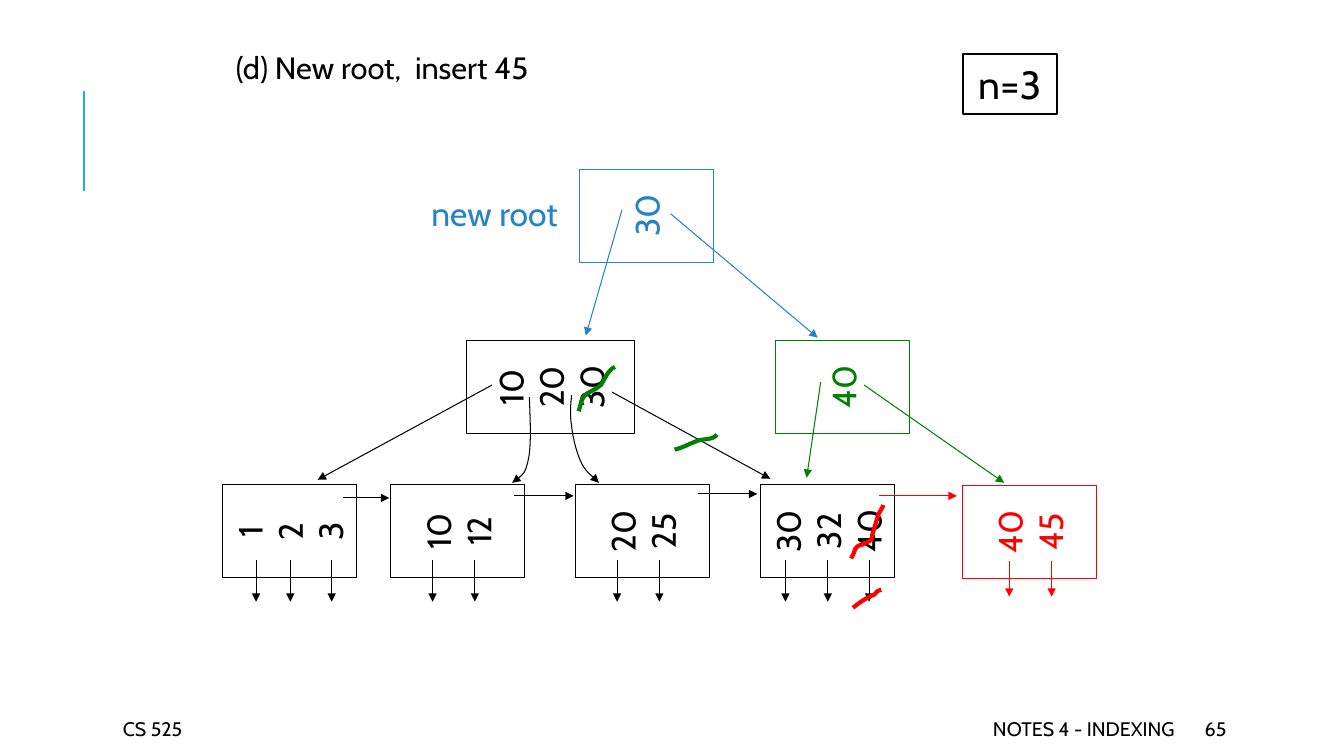
from dataclasses import dataclass

from lxml.etree import SubElement
from pptx import Presentation
from pptx.dml.color import RGBColor
from pptx.enum.shapes import MSO_CONNECTOR as Connector, MSO_SHAPE as Preset
from pptx.enum.text import MSO_ANCHOR as Anchor, MSO_AUTO_SIZE as AutoSize, PP_ALIGN as Align
from pptx.oxml.ns import qn
from pptx.util import Cm, Pt


@dataclass(frozen=True)
class Theme:
    font: str = "Cabin"
    black: str = "000000"
    white: str = "FFFFFF"
    red: str = "FF0000"
    green: str = "008000"
    blue: str = "2683C6"
    accent: str = "1CADE4"
    title_size: int = 22
    footer_size: int = 14
    badge_size: int = 28
    key_size: int = 24
    thin: float = 0.75
    medium: float = 1.5
    thick: float = 3


THEME = Theme()
CM_PER_INCH = 2.54
NODE_HEIGHT = 0.92
NODE_WIDTH = 1.33


def length(inches):
    return Cm(inches * CM_PER_INCH)


def box(left, top, width, height):
    return [length(value) for value in (left, top, width, height)]


def write(shape, text, size, color=THEME.black, align=Align.LEFT,
          anchor=Anchor.MIDDLE, wrap=True):
    frame = shape.text_frame
    frame.auto_size = AutoSize.NONE
    frame.word_wrap = wrap
    frame.vertical_anchor = anchor
    frame.text = text
    for paragraph in frame.paragraphs:
        paragraph.alignment = align
        font = paragraph.font
        font.name = THEME.font
        font.size = Pt(size)
        font.color.rgb = RGBColor.from_string(color)
    return frame


def style_line(shape, color, width, arrow=False):
    shape.line.color.rgb = RGBColor.from_string(color)
    shape.line.width = Pt(width)
    if arrow:
        outline = shape._element.spPr.find(qn("a:ln"))
        SubElement(outline, qn("a:tailEnd"), type="triangle")


def add_line(slide, start, end, color=THEME.black, width=THEME.thin, arrow=True):
    points = [length(value) for value in (*start, *end)]
    connector = slide.shapes.add_connector(Connector.STRAIGHT, *points)
    style_line(connector, color, width, arrow)
    SubElement(connector._element.spPr, qn("a:effectLst"))


def add_rectangle(slide, place, color, width):
    shape = slide.shapes.add_shape(Preset.RECTANGLE, *box(*place))
    shape.shadow.inherit = False
    shape.fill.solid()
    shape.fill.fore_color.rgb = RGBColor.from_string(THEME.white)
    style_line(shape, color, width)
    return shape


def add_node(slide, center, keys, color=THEME.black, width=NODE_WIDTH):
    x, y = center
    place = (x - NODE_HEIGHT / 2, y - width / 2, NODE_HEIGHT, width)
    shape = add_rectangle(slide, place, color, THEME.thin)
    shape.rotation = 270
    write(shape, "\n".join(keys), THEME.key_size, color, Align.CENTER, wrap=False)


def add_pointers(slide, positions, top, bottom, color=THEME.black):
    for x in positions:
        add_line(slide, (x, top), (x, bottom), color)


def bend_segments(shape):
    outline = next(shape._element.iter(qn("a:path")))
    segments = outline.findall(qn("a:lnTo"))
    for first in range(0, len(segments), 3):
        curve = SubElement(outline, qn("a:cubicBezTo"))
        for segment in segments[first:first + 3]:
            curve.append(segment[0])
            outline.remove(segment)


def add_curve(slide, points, color=THEME.black, width=THEME.thin, arrow=False):
    start, *controls = [(length(x), length(y)) for x, y in points]
    builder = slide.shapes.build_freeform(*start)
    builder.add_line_segments(controls, close=False)
    shape = builder.convert_to_shape()
    bend_segments(shape)
    shape.shadow.inherit = False
    shape.fill.background()
    style_line(shape, color, width, arrow)


def add_label(slide, place, text, size, **style):
    write(slide.shapes.add_textbox(*box(*place)), text, size, **style)


def add_title(slide, text):
    title = slide.shapes.title
    title.left, title.top, title.width, title.height = box(2.29, 0.47, 5.31, 0.72)
    frame = write(title, text, THEME.title_size, anchor=Anchor.TOP)
    frame.margin_left = frame.margin_right = length(0.05)
    frame.margin_top = frame.margin_bottom = length(0.05)
    frame.paragraphs[0].line_spacing = 0.9


def add_frame(slide):
    add_line(slide, (0.83, 1.9), (0.83, 0.9), THEME.accent, THEME.medium, arrow=False)
    add_label(slide, (1.12, 7.08, 2.36, 0.3), "CS 525", THEME.footer_size)
    add_label(slide, (5.3, 7.08, 6.45, 0.3), "NOTES 4 - INDEXING",
              THEME.footer_size, align=Align.RIGHT)
    add_label(slide, (11.85, 7.08, 1.06, 0.3), "65", THEME.footer_size)
    badge = add_rectangle(slide, (9.55, 0.54, 0.93, 0.59), THEME.black, THEME.medium)
    write(badge, "n=3", THEME.badge_size, align=Align.CENTER, wrap=False)


def add_old_tree(slide):
    add_node(slide, (5.46, 3.84), ("10", "20", "30"), width=1.67)
    leaves = [
        (2.87, ("1", "2", "3"), (2.54, 2.88, 3.29)),
        (4.54, ("10", "12"), (4.29, 4.71)),
        (6.37, ("20", "25"), (6.12, 6.54)),
        (8.21, ("30", "32", "40"), (7.79, 8.21, 8.62)),
    ]
    for x, keys, pointers in leaves:
        add_node(slide, (x, 5.27), keys)
        add_pointers(slide, pointers, 5.56, 5.97)
    add_line(slide, (4.88, 3.82), (3.15, 4.76))
    add_line(slide, (6.07, 3.89), (7.64, 4.75))
    add_curve(slide, [(5.25, 3.94), (5.26, 4.18), (5.27, 4.42), (5.24, 4.56),
                      (5.21, 4.7), (5.15, 4.74), (5.08, 4.79)], arrow=True)
    add_curve(slide, [(5.67, 3.92), (5.66, 4.01), (5.65, 4.11), (5.67, 4.23),
                      (5.68, 4.34), (5.72, 4.5), (5.77, 4.6),
                      (5.82, 4.69), (5.92, 4.76), (5.94, 4.79)], arrow=True)
    for start, end, y in ((3.4, 3.86, 4.94), (5.1, 5.69, 4.92), (6.92, 7.51, 4.9)):
        add_line(slide, (start, y), (end, y))


def add_new_leaf(slide):
    add_node(slide, (10.21, 5.28), ("40", "45"), THEME.red)
    add_line(slide, (8.72, 4.92), (9.49, 4.92), THEME.red)
    add_pointers(slide, (10.01, 10.43), 5.57, 5.92, THEME.red)
    key_strike = [(8.44, 5.54), (8.5, 5.45), (8.45, 5.43), (8.56, 5.4),
                  (8.57, 5.39), (8.58, 5.38), (8.6, 5.38),
                  (8.61, 5.37), (8.63, 5.37), (8.64, 5.36),
                  (8.65, 5.35), (8.65, 5.32), (8.65, 5.31),
                  (8.67, 5.24), (8.69, 5.18), (8.71, 5.11),
                  (8.72, 5.08), (8.76, 5.03), (8.76, 5.01)]
    pointer_strike = [(8.46, 6.03), (8.52, 5.98), (8.59, 5.93), (8.67, 5.9),
                      (8.72, 5.85), (8.69, 5.87), (8.74, 5.85)]
    for strike in (key_strike, pointer_strike):
        add_curve(slide, strike, THEME.red, THEME.thick)


def add_new_inner_node(slide):
    add_node(slide, (8.36, 3.84), ("40",), THEME.green)
    add_line(slide, (8.14, 3.79), (8, 4.74), THEME.green)
    add_line(slide, (8.57, 3.82), (9.96, 4.79), THEME.green)
    key_strike = [(5.74, 4.08), (5.77, 3.99), (5.75, 3.96), (5.83, 3.9),
                  (5.86, 3.88), (5.89, 3.87), (5.92, 3.85),
                  (5.93, 3.84), (5.96, 3.82), (5.96, 3.82),
                  (6, 3.76), (6.03, 3.67), (6.1, 3.64)]
    pointer_strike = [(6.69, 4.46), (6.78, 4.44), (6.82, 4.41), (6.9, 4.38),
                      (6.95, 4.35), (7.08, 4.37), (7.11, 4.31)]
    for strike in (key_strike, pointer_strike):
        add_curve(slide, strike, THEME.green, THEME.thick)


def add_new_root(slide):
    add_node(slide, (6.41, 2.14), ("30",), THEME.blue)
    add_line(slide, (6.17, 2.08), (5.81, 3.33), THEME.blue)
    add_line(slide, (6.65, 2.12), (8.11, 3.35), THEME.blue)
    add_label(slide, (4.15, 1.86, 1.51, 0.5), "new root", THEME.key_size,
              color=THEME.blue, align=Align.CENTER, wrap=False)


def main():
    presentation = Presentation()
    presentation.slide_width = length(13.33)
    presentation.slide_height = length(7.5)
    slide = presentation.slides.add_slide(presentation.slide_layouts.get_by_name("Title Only"))
    add_title(slide, "(d) New root,  insert 45")
    for add_part in (add_frame, add_old_tree, add_new_leaf, add_new_inner_node, add_new_root):
        add_part(slide)
    presentation.save("out.pptx")


if __name__ == "__main__":
    main()
